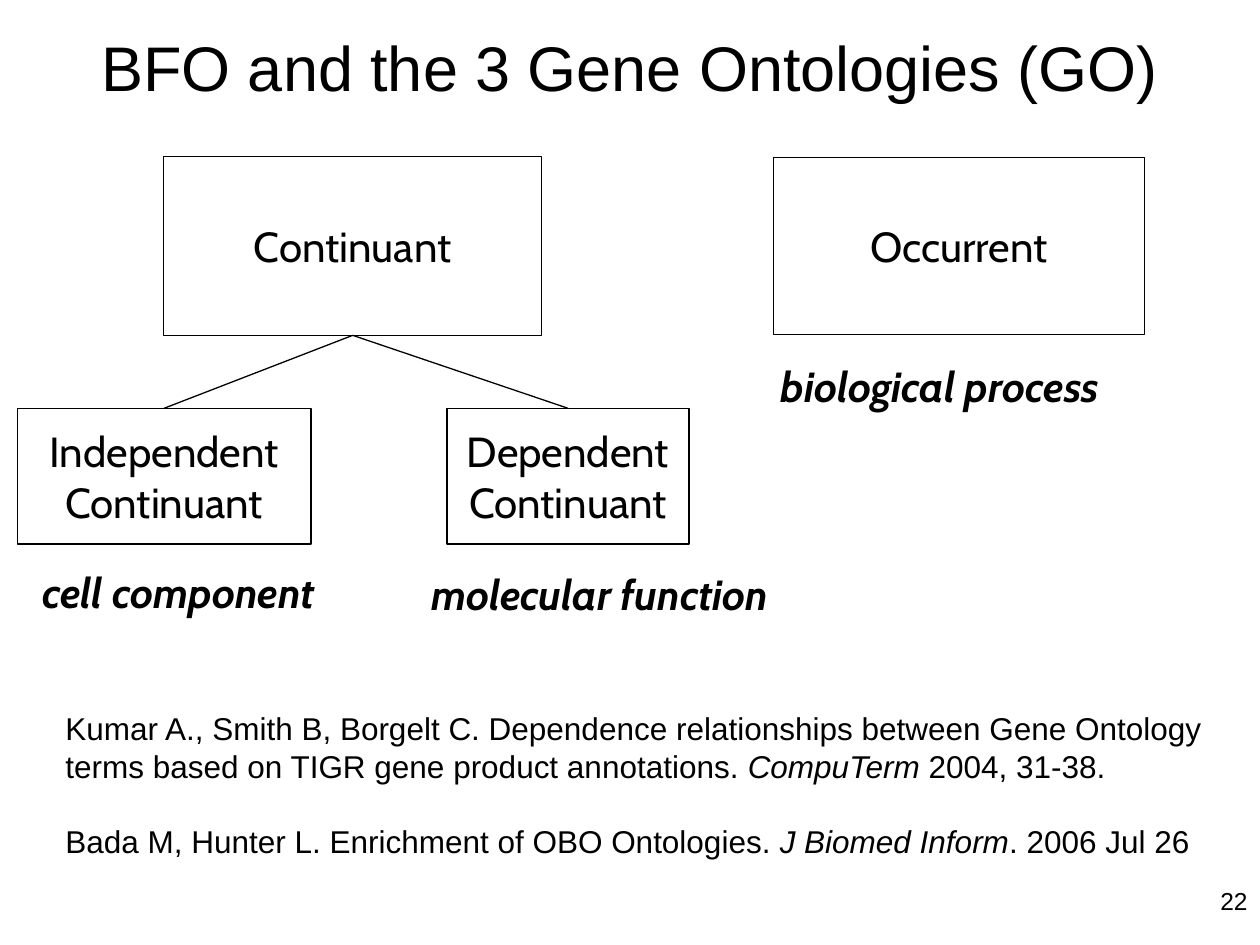
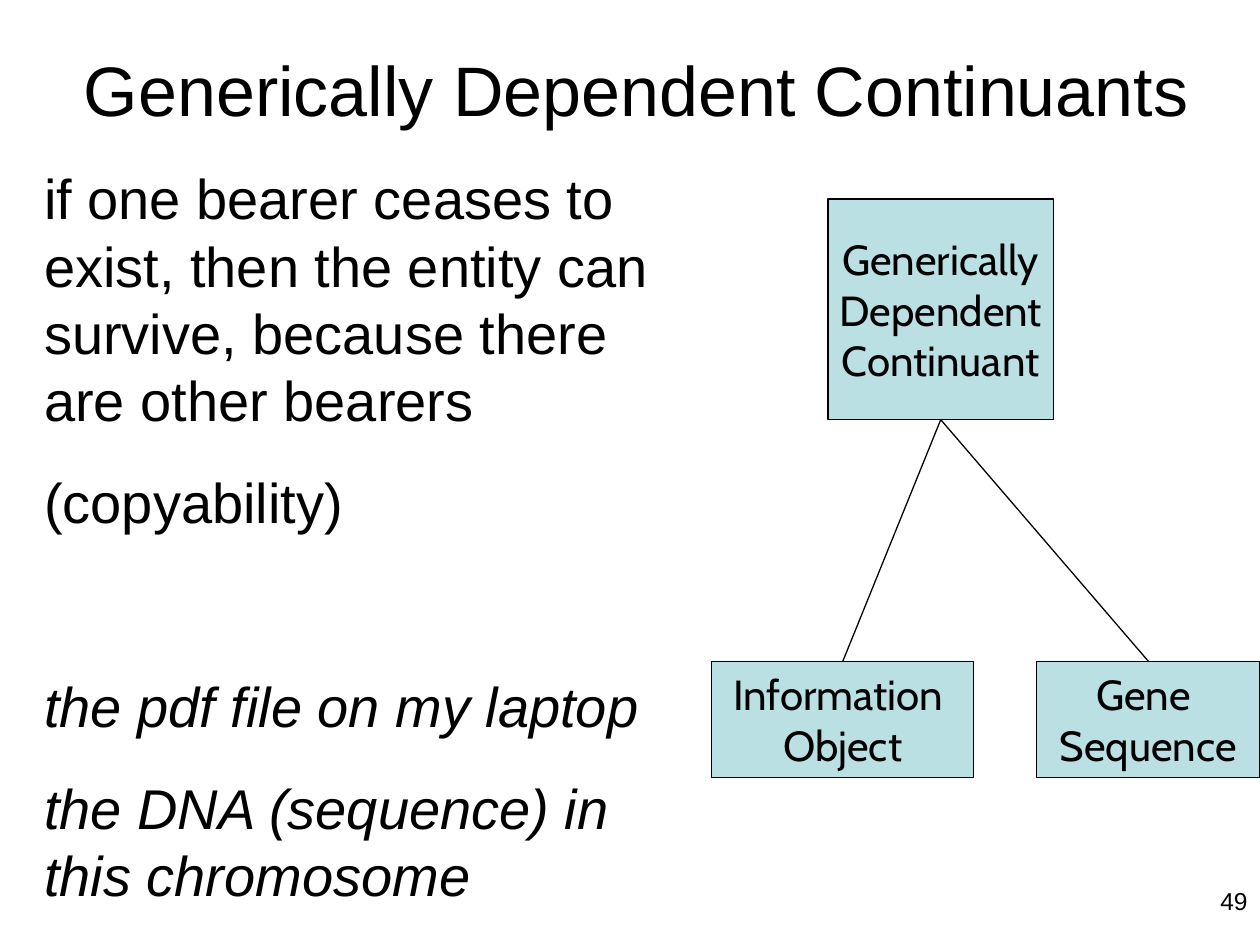
from lxml import etree
from pptx import Presentation
from pptx import util as u
from pptx.dml.color import RGBColor
from pptx.enum import shapes, text
from pptx.oxml.ns import qn

COLOURS = {"ink": "000000", "teal": "BBE0E3"}
SLIDE_WIDTH, SLIDE_HEIGHT = 25.4, 19.05
BOTTOM_SITE, TOP_SITE = 2, 0

NODE = {"name": "Cabin", "size": u.Pt(24)}
LABEL = {**NODE, "bold": True, "italic": True}
CITATION = {"name": "Arial", "size": u.Pt(18)}
BODY = {"name": "Arial", "size": u.Pt(32)}
NUMBER = {"name": "Arial", "size": u.Pt(14)}
ITALIC = {"italic": True}
CENTRED = {"alignment": text.PP_ALIGN.CENTER}
MIDDLE = {"vertical_anchor": text.MSO_ANCHOR.MIDDLE}


def colour(name):
    return RGBColor.from_string(COLOURS[name])


def apply(target, values):
    for name, value in values.items():
        setattr(target, name, value)


def write(frame, paragraphs, font, para_format, frame_format):
    apply(frame, frame_format)
    for index, (spans, space_before) in enumerate(paragraphs):
        para = frame.add_paragraph() if index else frame.paragraphs[0]
        apply(para, para_format)
        if index:
            para.space_before = u.Pt(space_before)
        for words, style in spans:
            span = para.add_run()
            span.text = words
            apply(span.font, {**font, **style})
            span.font.color.rgb = colour("ink")


def plain(*lines):
    return [([(line, {})], 0) for line in lines]


def text_box(page, area, paragraphs, font, para_format={}, frame_format={}):
    box = page.shapes.add_textbox(*map(u.Cm, area))
    write(box.text_frame, paragraphs, font, para_format, {"word_wrap": True, **frame_format})


def title(page, area, words, size):
    text_box(page, area, plain(words), {"name": "Arial", "size": u.Pt(size)}, CENTRED, MIDDLE)


def page_number(page, number):
    width, height = 5.92, 1.32
    area = (SLIDE_WIDTH - width, SLIDE_HEIGHT - height, width, height)
    text_box(page, area, plain(str(number)), NUMBER, {"alignment": text.PP_ALIGN.RIGHT})


def outline(line):
    line.color.rgb = colour("ink")
    line.width = u.Pt(0.75)


def node(page, area, lines, fill=None):
    box = page.shapes.add_shape(shapes.MSO_SHAPE.RECTANGLE, *map(u.Cm, area))
    box.shadow.inherit = False
    if fill:
        box.fill.solid()
        box.fill.fore_color.rgb = colour(fill)
    else:
        box.fill.background()
    outline(box.line)
    write(box.text_frame, plain(*lines), NODE, CENTRED, {**MIDDLE, "word_wrap": False})
    return box


def branch(page, parent, child):
    line = page.shapes.add_connector(shapes.MSO_CONNECTOR.STRAIGHT, 0, 0, 0, 0)
    line.begin_connect(parent, BOTTOM_SITE)
    line.end_connect(child, TOP_SITE)
    outline(line.line)
    etree.SubElement(line._element.spPr, qn("a:effectLst"))


def tree(page, area, parent, children, child_height, fill=None):
    left, top, width, height = area
    offset, parent_width, parent_height, lines = parent
    root = node(page, (left + offset, top, parent_width, parent_height), lines, fill)
    (first_width, first_lines), (last_width, last_lines) = children
    child_top = top + height - child_height
    last_left = left + width - last_width
    leaves = [
        node(page, (left, child_top, first_width, child_height), first_lines, fill),
        node(page, (last_left, child_top, last_width, child_height), last_lines, fill),
    ]
    for leaf in leaves:
        branch(page, root, leaf)


def gene_ontologies(page):
    title(page, (0, 0.76, SLIDE_WIDTH, 1.14), "BFO and the 3 Gene Ontologies (GO)", 36)
    tree(
        page,
        (0.35, 3.15, 13.54, 7.82),
        (2.95, 7.62, 3.61, ["Continuant"]),
        [(5.92, ["Independent", "Continuant"]), (4.88, ["Dependent", "Continuant"])],
        2.74,
    )
    node(page, (15.6, 3.17, 7.47, 3.58), ["Occurrent"])
    for left, top, width, words in [
        (0, 11.3, 7.19, "cell component"),
        (14.4, 7.14, 9.09, "biological process"),
        (7.67, 11.33, 8.84, "molecular function"),
    ]:
        text_box(page, (left, top, width, 1.27), plain(words), LABEL, CENTRED)
    citations = [
        ([
            ("Kumar A., Smith B, Borgelt C. Dependence relationships between Gene Ontology "
             "terms based on TIGR gene product annotations. ", {}),
            ("CompuTerm", ITALIC),
            (" 2004, 31-38.", {}),
        ], 0),
        ([
            ("Bada M, Hunter L. Enrichment of OBO Ontologies. ", {}),
            ("J Biomed Inform", ITALIC),
            (". 2006 Jul 26", {}),
        ], 21.5),
    ]
    text_box(page, (1.07, 14.17, 23.5, 3.3), citations, CITATION)
    page_number(page, 22)


def dependent_continuants(page):
    title(page, (1.07, 0.2, 23.5, 3.18), "Generically Dependent Continuants", 40)
    tree(
        page,
        (14.35, 4.01, 11.05, 11.66),
        (2.34, 4.55, 4.45, ["Generically", "Dependent", "Continuant"]),
        [(5.28, ["Information ", "Object"]), (4.5, ["Gene ", "Sequence"])],
        2.34,
        "teal",
    )
    statements = [
        ([("if one bearer ceases to exist, then the entity can survive, "
           "because there are other bearers", {})], 0),
        ([("(copyability)", {})], 20),
        ([("the pdf file on my laptop", ITALIC)], 78),
        ([("the DNA (sequence) in this chromosome", ITALIC)], 20),
    ]
    text_box(page, (0.64, 3.18, 13.77, 15.29), statements, BODY)
    page_number(page, 49)


def main():
    deck = Presentation()
    deck.slide_width = u.Cm(SLIDE_WIDTH)
    deck.slide_height = u.Cm(SLIDE_HEIGHT)
    for build in (gene_ontologies, dependent_continuants):
        build(deck.slides.add_slide(deck.slide_layouts[6]))
    deck.save("out.pptx")


if __name__ == "__main__":
    main()
